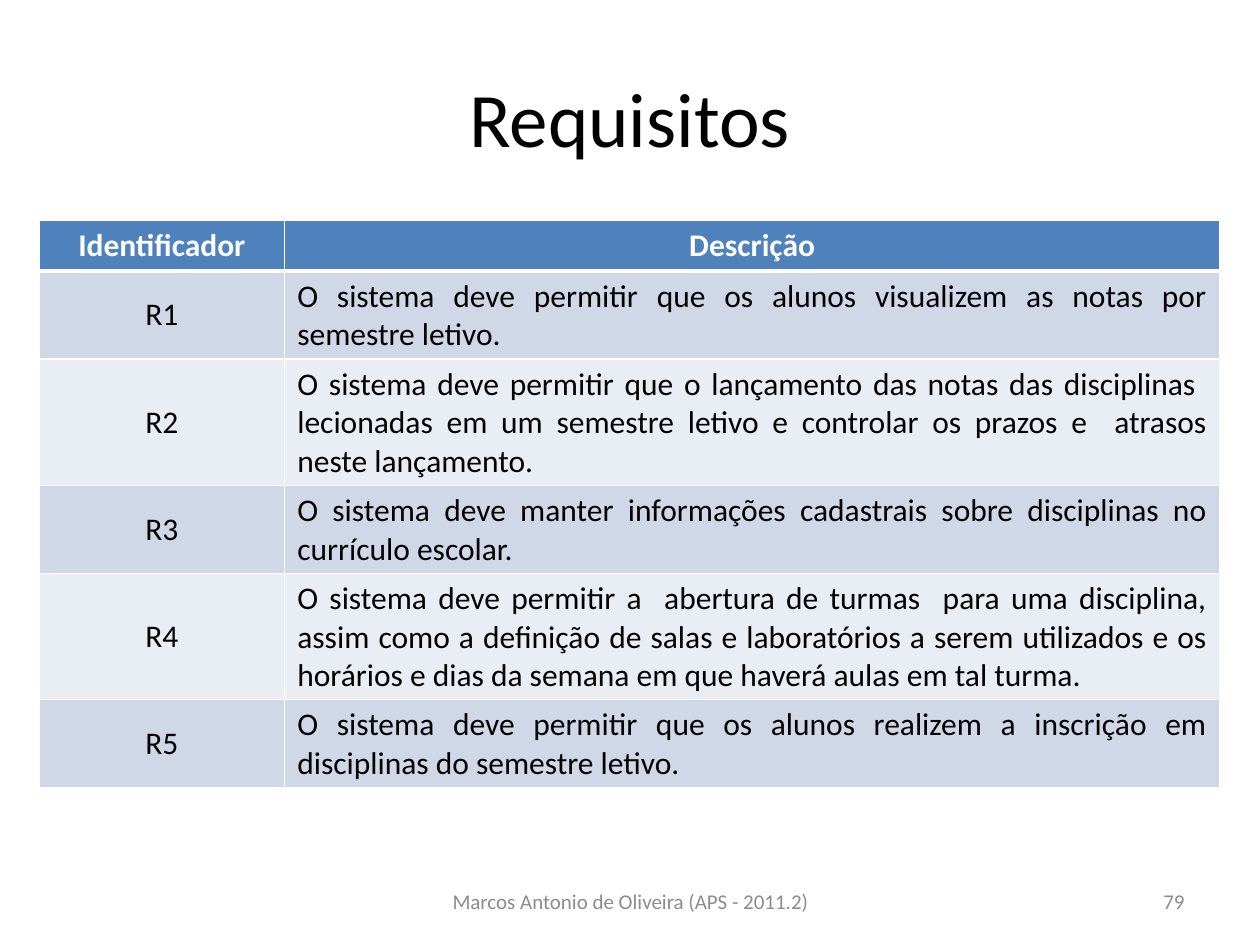
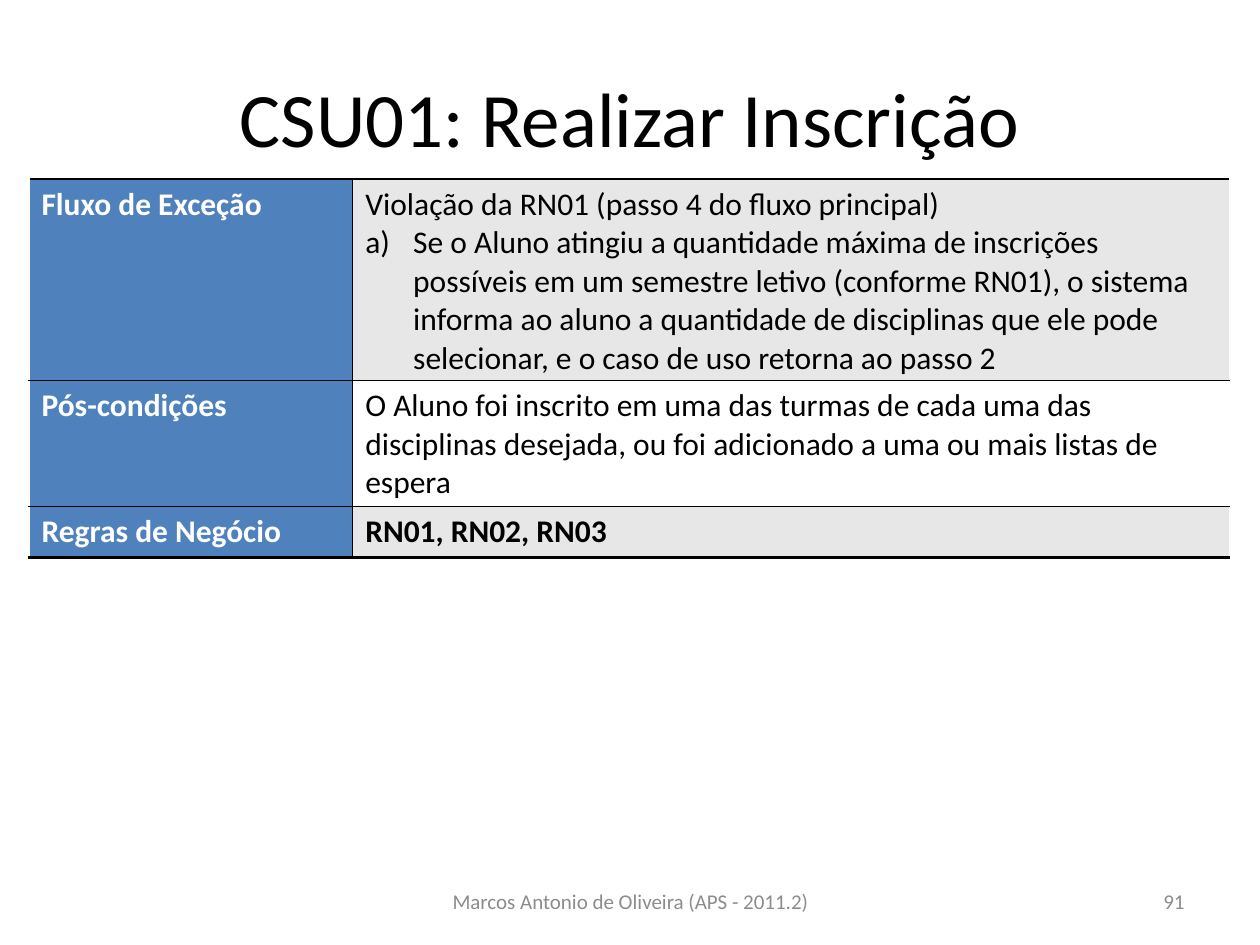
from lxml import etree
from pptx import Presentation
from pptx.dml.color import RGBColor
from pptx.enum.text import MSO_ANCHOR, PP_ALIGN
from pptx.oxml.ns import qn
from pptx.util import Inches, Pt

LEFT, CENTER, RIGHT, JUSTIFY = PP_ALIGN.LEFT, PP_ALIGN.CENTER, PP_ALIGN.RIGHT, PP_ALIGN.JUSTIFY
TOP, MIDDLE = MSO_ANCHOR.TOP, MSO_ANCHOR.MIDDLE
TITLE_ONLY = 5

COLORS = {
    "black": "000000",
    "white": "FFFFFF",
    "footer": "8C8C8C",
    "blue": "4F81BD",
    "blue_band": "D0D8E8",
    "pale_band": "E9EDF4",
    "gray_band": "E7E7E7",
}
FORMATS = {
    "title": {"size": Pt(44), "bold": False, "color": "black"},
    "footer": {"size": Pt(12), "bold": False, "color": "footer"},
    "heading": {"size": Pt(18), "bold": True, "color": "white"},
    "body": {"size": Pt(18), "bold": False, "color": "black"},
    "strong": {"size": Pt(18), "bold": True, "color": "black"},
}
AUTHOR = "Marcos Antonio de Oliveira (APS - 2011.2)"
BORDER_SIDES = ("L", "R", "T", "B")

REQUIREMENTS = [
    ("O sistema deve permitir que os alunos visualizem as notas por semestre letivo.", 2),
    ("O sistema deve permitir que o lançamento das notas das disciplinas  lecionadas em um "
     "semestre letivo e controlar os prazos e  atrasos neste lançamento.", 3),
    ("O sistema deve manter informações cadastrais sobre disciplinas no currículo escolar.", 2),
    ("O sistema deve permitir a  abertura de turmas  para uma disciplina, assim como a definição "
     "de salas e laboratórios a serem utilizados e os horários e dias da semana em que haverá "
     "aulas em tal turma.", 3),
    ("O sistema deve permitir que os alunos realizem a inscrição em disciplinas do semestre "
     "letivo.", 2),
]
USE_CASE = [
    ("Fluxo de Exceção",
     ["Violação da RN01 (passo 4 do fluxo principal)",
      "Se o Aluno atingiu a quantidade máxima de inscrições possíveis em um semestre letivo "
      "(conforme RN01), o sistema informa ao aluno a quantidade de disciplinas que ele pode "
      "selecionar, e o caso de uso retorna ao passo 2"], 5, "body"),
    ("Pós-condições",
     ["O Aluno foi inscrito em uma das turmas de cada uma das disciplinas desejada, ou foi "
      "adicionado a uma ou mais listas de espera"], 3, "body"),
    ("Regras de Negócio", ["RN01, RN02, RN03"], 1, "strong"),
]


class Deck:
    font = "Calibri"

    def __init__(self):
        self.presentation = Presentation()
        self.presentation.slide_width = Inches(10)
        self.presentation.slide_height = Inches(7.5)
        self.slide = None

    def color(self, name):
        return RGBColor.from_string(COLORS[name])

    def fill_text(self, frame, paragraphs, style, align):
        for index, text in enumerate(paragraphs):
            paragraph = frame.paragraphs[0] if index == 0 else frame.add_paragraph()
            paragraph.alignment = align
            run = paragraph.add_run()
            run.text = text
            run.font.name = self.font
            for attribute, value in FORMATS[style].items():
                if attribute == "color":
                    run.font.color.rgb = self.color(value)
                else:
                    setattr(run.font, attribute, value)

    def place(self, shape, left, top, width, height):
        for attribute, value in zip(("left", "top", "width", "height"), (left, top, width, height)):
            setattr(shape, attribute, Inches(value))

    def start_slide(self, title, number):
        self.slide = self.presentation.slides.add_slide(
            self.presentation.slide_layouts[TITLE_ONLY])
        heading = self.slide.shapes.title
        self.place(heading, 0.5, 0.3, 9, 1.25)
        heading.text_frame.vertical_anchor = MIDDLE
        self.fill_text(heading.text_frame, [title], "title", CENTER)
        self.footer(AUTHOR, 3.42, 3.17, CENTER)
        self.footer(str(number), 7.17, 2.33, RIGHT)

    def footer(self, text, left, width, align):
        box = self.slide.shapes.add_textbox(
            Inches(left), Inches(6.95), Inches(width), Inches(0.4))
        box.text_frame.word_wrap = True
        box.text_frame.vertical_anchor = MIDDLE
        self.fill_text(box.text_frame, [text], "footer", align)

    def table(self, left, top, widths, line_counts):
        heights = [0.1 + 0.3 * lines for lines in line_counts]
        table = self.slide.shapes.add_table(
            len(heights), len(widths), Inches(left), Inches(top),
            Inches(sum(widths)), Inches(sum(heights))).table
        for column, width in zip(table.columns, widths):
            column.width = Inches(width)
        for row, height in zip(table.rows, heights):
            row.height = Inches(height)
        return table

    def cell(self, cell, paragraphs, style, fill, align, anchor, line_color, borders):
        cell.vertical_anchor = anchor
        properties = cell._tc.get_or_add_tcPr()
        for side in BORDER_SIDES:
            if side in borders:
                line = etree.SubElement(properties, qn(f"a:ln{side}"), w=str(Pt(borders[side])))
                solid = etree.SubElement(line, qn("a:solidFill"))
                etree.SubElement(solid, qn("a:srgbClr"), val=COLORS[line_color])
        cell.fill.solid()
        cell.fill.fore_color.rgb = self.color(fill)
        self.fill_text(cell.text_frame, paragraphs, style, align)

    def letter_item(self, paragraph):
        properties = paragraph._p.get_or_add_pPr()
        properties.set("marL", str(Inches(0.38)))
        properties.set("indent", str(-Inches(0.38)))
        etree.SubElement(properties, qn("a:buFont"), typeface="+mj-lt")
        etree.SubElement(properties, qn("a:buAutoNum"), type="alphaLcParenR")


def add_requirements(deck):
    deck.start_slide("Requisitos", 79)
    table = deck.table(0.31, 1.75, (1.95, 7.42), [1] + [lines for _, lines in REQUIREMENTS])
    thin = dict.fromkeys(BORDER_SIDES, 1)
    for column, heading in enumerate(("Identificador", "Descrição")):
        deck.cell(table.cell(0, column), [heading], "heading", "blue", CENTER, TOP,
                  "white", {**thin, "B": 3})
    for row, (description, _) in enumerate(REQUIREMENTS, start=1):
        band = "blue_band" if row % 2 else "pale_band"
        borders = {**thin, "T": 3 if row == 1 else 1}
        for column, (text, align) in enumerate(((f"R{row}", CENTER), (description, JUSTIFY))):
            deck.cell(table.cell(row, column), [text], "body", band, align, MIDDLE,
                      "white", borders)


def add_use_case(deck):
    deck.start_slide("CSU01: Realizar Inscrição", 91)
    table = deck.table(0.23, 1.42, (2.57, 6.96), [lines for _, _, lines, _ in USE_CASE])
    table.first_row = False
    for row, (label, details, _, style) in enumerate(USE_CASE):
        borders = {"T": 1, "B": 2 if row == len(USE_CASE) - 1 else 1}
        band = "white" if row % 2 else "gray_band"
        deck.cell(table.cell(row, 0), [label], "heading", "blue", LEFT, TOP,
                  "black", {**borders, "R": 1})
        deck.cell(table.cell(row, 1), details, style, band, LEFT, TOP,
                  "black", {**borders, "L": 1})
    deck.letter_item(table.cell(0, 1).text_frame.paragraphs[1])


def main():
    deck = Deck()
    add_requirements(deck)
    add_use_case(deck)
    deck.presentation.save("out.pptx")


if __name__ == "__main__":
    main()
